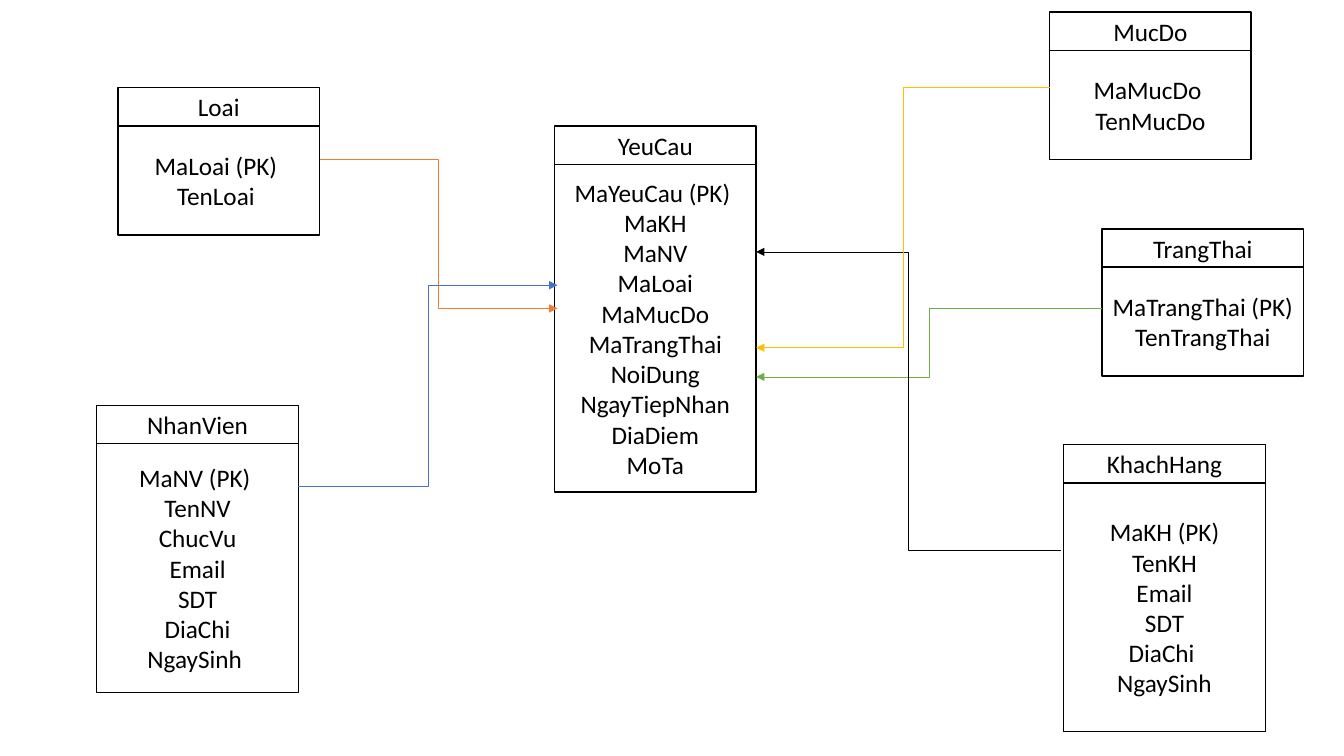
import pptx
import pptx.dml.color
import pptx.enum.shapes
import pptx.enum.text
import pptx.util
from lxml import etree
from pptx.oxml.ns import qn
from pptx.util import Inches

RGB = pptx.dml.color.RGBColor.from_string
THEME = {
    "font": {"name": "Calibri", "size": pptx.util.Pt(18)},
    "ink": RGB("000000"),
    "paper": RGB("FFFFFF"),
    "box_line": pptx.util.Pt(1),
    "link_line": pptx.util.Pt(0.5),
    "orange": RGB("ED7D31"),
    "blue": RGB("4472C4"),
    "green": RGB("70AD47"),
    "gold": RGB("FFC000"),
}
BOX_WIDTH, HEADER_HEIGHT = 2, 0.38

# name, left, top, body height, fields
entities = [
    ("Loai", 1.17, 0.87, 1.08, ["MaLoai (PK) ", "TenLoai "]),
    ("TrangThai", 10.93, 2.27, 1.08, ["MaTrangThai (PK) ", "TenTrangThai"]),
    ("NhanVien", 0.96, 4.02, 2.47,
     ["MaNV (PK) ", "TenNV", "ChucVu", "Email", "SDT", "DiaChi", "NgaySinh "]),
    ("KhachHang", 10.55, 4.41, 2.47,
     ["MaKH (PK)", "TenKH", "Email", "SDT", "DiaChi ", "NgaySinh"]),
    ("MucDo", 10.41, 0.12, 1.08, ["MaMucDo ", "TenMucDo"]),
    ("YeuCau", 5.5, 1.25, 3.25,
     ["MaYeuCau (PK) ", "MaKH", "MaNV", "MaLoai", "MaMucDo", "MaTrangThai",
      "NoiDung", "NgayTiepNhan", "DiaDiem", "MoTa"]),
]

# start x, start y, end x, end y, colour
links = [
    (3.17, 1.58, 5.53, 3.06, "orange"),
    (2.96, 4.83, 5.53, 2.83, "blue"),
    (10.93, 3.06, 7.5, 3.74, "green"),
    (10.52, 5.46, 7.5, 2.5, "ink"),
    (10.41, 0.87, 7.5, 3.45, "gold"),
]


def add_box(s, left, top, height, lines):
    """Add a bordered rectangle with one centred paragraph per line."""
    sp = s.shapes.add_shape(
        pptx.enum.shapes.MSO_SHAPE.RECTANGLE,
        Inches(left), Inches(top), Inches(BOX_WIDTH), Inches(height))
    sp.shadow.inherit = False
    sp.fill.solid()
    sp.fill.fore_color.rgb = THEME["paper"]
    sp.line.color.rgb = THEME["ink"]
    sp.line.width = THEME["box_line"]
    tf = sp.text_frame
    tf.word_wrap = True
    tf.vertical_anchor = pptx.enum.text.MSO_ANCHOR.MIDDLE
    for i, line in enumerate(lines):
        p = tf.add_paragraph() if i else tf.paragraphs[0]
        p.alignment = pptx.enum.text.PP_ALIGN.CENTER
        r = p.add_run()
        r.text = line
        for key, value in THEME["font"].items():
            setattr(r.font, key, value)
        r.font.color.rgb = THEME["ink"]


prs = pptx.Presentation()
prs.slide_width, prs.slide_height = Inches(13.33), Inches(7.5)
s = prs.slides.add_slide(prs.slide_layouts[6])

for name, left, top, body_height, fields in entities:
    add_box(s, left, top, HEADER_HEIGHT, [name])
    add_box(s, left, top + HEADER_HEIGHT, body_height, fields)

for x1, y1, x2, y2, colour in links:
    link = s.shapes.add_connector(
        pptx.enum.shapes.MSO_CONNECTOR.ELBOW,
        Inches(x1), Inches(y1), Inches(x2), Inches(y2))
    link.line.color.rgb = THEME[colour]
    link.line.width = THEME["link_line"]
    spPr = link._element.spPr
    etree.SubElement(spPr.find(qn("a:ln")), qn("a:tailEnd"), type="triangle")
    etree.SubElement(spPr, qn("a:effectLst"))

prs.save("out.pptx")
